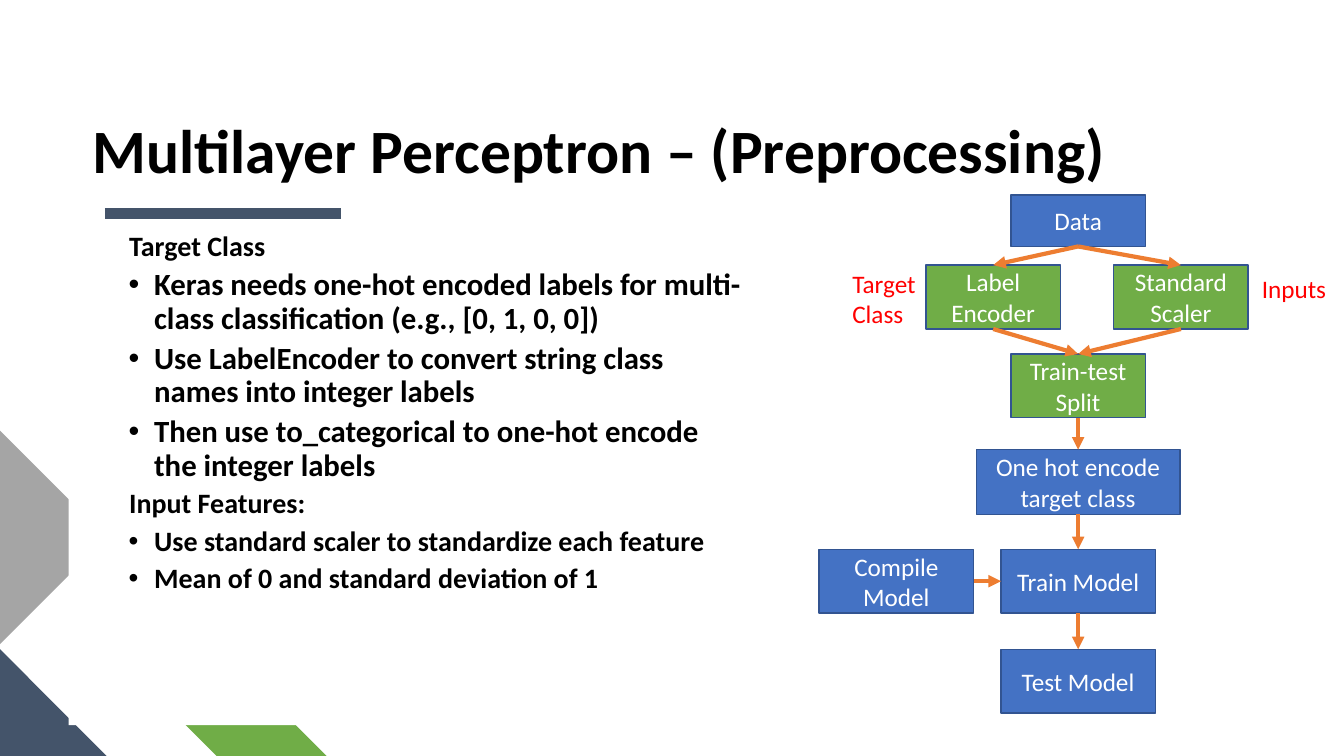
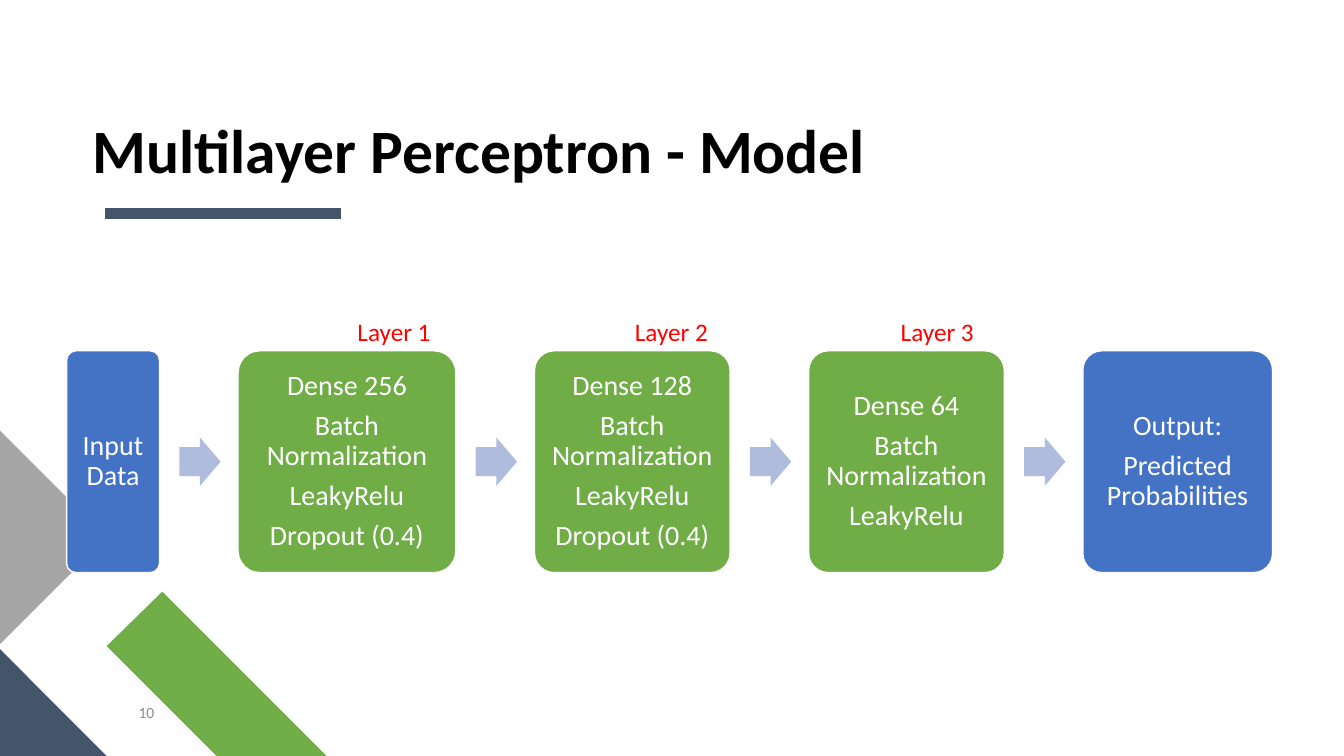
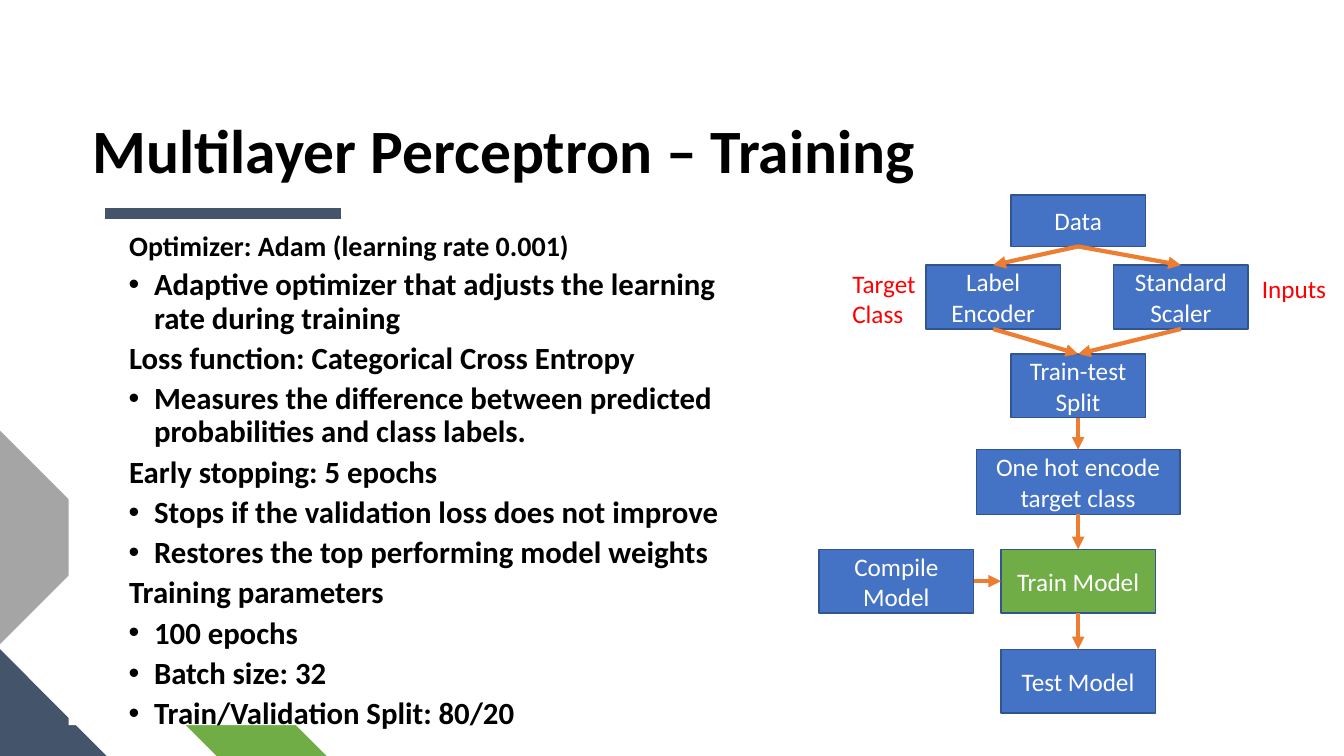
"""Build three slides on a multilayer perceptron: preprocessing, model and training."""
import dataclasses
import typing

import lxml.etree
import pptx
import pptx.dml.color
import pptx.enum.shapes
import pptx.enum.text
import pptx.oxml.ns
import pptx.slide
import pptx.util

Cm = pptx.util.Cm
Pt = pptx.util.Pt
Shape = pptx.enum.shapes.MSO_SHAPE
Align = pptx.enum.text.PP_ALIGN
Anchor = pptx.enum.text.MSO_ANCHOR
qn = pptx.oxml.ns.qn

FONT = "Calibri"
BLACK, WHITE, RED, NUMBER_GREY = "000000", "FFFFFF", "FF0000", "8C8C8C"
BLUE, GREEN, NAVY, GREY = "4472C4", "70AD47", "44546A", "A5A5A5"
ORANGE, BOX_EDGE, PALE_BLUE = "ED7D31", "325491", "B0BCDE"
BOTTOM, TOP, RIGHT, LEFT = 2, 0, 3, 1


@dataclasses.dataclass(frozen=True)
class Node:
    """A flow chart box, placed by its horizontal centre and top in cm."""
    text: str
    cx: float
    top: float
    width: float = 3.39
    height: float = 1.61


@dataclasses.dataclass(frozen=True)
class Label:
    """A red caption, measured in cm."""
    text: str
    left: float
    top: float
    width: float
    height: float = 1.02
    wrap: bool = False


@dataclasses.dataclass(frozen=True)
class Item:
    """A paragraph of the body list."""
    text: str
    size: int = 22
    bullet: bool = True


@dataclasses.dataclass(frozen=True)
class Step:
    """A stage of the model, with its width in cm."""
    lines: tuple[str, ...]
    width: float
    fill: str = GREEN


CORNER = (
    (GREEN, ((8.23, 19.05), (5.46, 19.05), (2.69, 16.28), (4.09, 14.91))),
    (NAVY, ((2.69, 19.05), (0, 19.05), (0, 16.36))),
    (GREY, ((0, 10.85), (2.69, 13.54), (0, 16.23))),
)

AXIS = 27.17
NODES = {
    "data": Node("Data", AXIS, 4.91, height=1.3),
    "label": Node("Label Encoder", 25.03, 6.68),
    "scaler": Node("Standard Scaler", 29.76, 6.68),
    "split": Node("Train-test Split", AXIS, 8.92),
    "one_hot": Node("One hot encode target class", AXIS, 11.33, 5.13, 1.63),
    "compile": Node("Compile Model", 22.59, 13.84, 3.89),
    "train": Node("Train Model", AXIS, 13.84, 3.89),
    "test": Node("Test Model", AXIS, 16.36, 3.89),
}
LINKS = (
    ("data", BOTTOM, "label", TOP),
    ("data", BOTTOM, "scaler", TOP),
    ("label", BOTTOM, "split", TOP),
    ("scaler", BOTTOM, "split", TOP),
    ("split", BOTTOM, "one_hot", TOP),
    ("one_hot", BOTTOM, "train", TOP),
    ("compile", RIGHT, "train", LEFT),
    ("train", BOTTOM, "test", TOP),
)
FLOW_LABELS = (
    Label("Target Class", 21.23, 6.63, 2.11, 1.8, True),
    Label("Inputs", 31.55, 6.76, 2.16),
)

PREPROCESSING = (
    Item("Target Class", 20, False),
    Item("Keras needs one-hot encoded labels for multi-class classification (e.g., [0, 1, 0, 0])"),
    Item("Use LabelEncoder to convert string class names into integer labels"),
    Item("Then use to_categorical to one-hot encode the integer labels"),
    Item("Input Features:", 20, False),
    Item("Use standard scaler to standardize each feature", 20),
    Item("Mean of 0 and standard deviation of 1", 20),
)
TRAINING = (
    Item("Optimizer: Adam (learning rate 0.001)", 20, False),
    Item("Adaptive optimizer that adjusts the learning rate during training"),
    Item("Loss function: Categorical Cross Entropy", bullet=False),
    Item("Measures the difference between predicted probabilities and class labels."),
    Item("Early stopping: 5 epochs", bullet=False),
    Item("Stops if the validation loss does not improve"),
    Item("Restores the top performing model weights"),
    Item("Training parameters", bullet=False),
    Item("100 epochs"),
    Item("Batch size: 32"),
    Item("Train/Validation Split: 80/20"),
)

STEPS = (
    Step(("Input Data",), 2.34, BLUE),
    Step(("Dense 256", "Batch Normalization", "LeakyRelu", "Dropout (0.4)"), 5.49),
    Step(("Dense 128", "Batch Normalization", "LeakyRelu", "Dropout (0.4)"), 4.93),
    Step(("Dense 64", "Batch Normalization", "LeakyRelu"), 4.93),
    Step(("Output:", "Predicted Probabilities"), 4.78, BLUE),
)
STEP_LEFT, STEP_TOP, STEP_HEIGHT, STEP_GAP = 1.68, 8.84, 5.59, 1.98
ARROW_WIDTH, ARROW_HEIGHT = 1.04, 1.22
LAYER_LABELS = tuple(
    Label(f"Layer {i}", left, 7.85, 2.39) for i, left in enumerate((8.76, 15.75, 22.45), 1)
)


def color(value: str) -> pptx.dml.color.RGBColor:
    """Turn a hex string into a colour."""
    return pptx.dml.color.RGBColor.from_string(value)


def paint(sp: typing.Any, fill: str, line: str | None = None) -> None:
    """Give a shape a flat fill and an optional thin outline."""
    sp.shadow.inherit = False
    sp.fill.solid()
    sp.fill.fore_color.rgb = color(fill)
    if line:
        sp.line.color.rgb = color(line)
        sp.line.width = Pt(1)
    else:
        sp.line.fill.background()


def write(p: typing.Any, text: str, size: float, tint: str,
          bold: bool = False, align: Align = Align.LEFT) -> None:
    """Fill a paragraph and format its runs."""
    p.text = text
    p.alignment = align
    for r in p.runs:
        r.font.name = FONT
        r.font.size = Pt(size)
        r.font.bold = bold
        r.font.color.rgb = color(tint)


def paragraphs(tf: typing.Any, count: int) -> typing.Iterator[typing.Any]:
    """Yield the first paragraph of a frame, then new ones."""
    yield tf.paragraphs[0]
    for _ in range(count - 1):
        yield tf.add_paragraph()


def set_margins(tf: typing.Any, margin: float) -> None:
    """Set all four insets of a text frame in cm."""
    tf.margin_left = tf.margin_right = tf.margin_top = tf.margin_bottom = Cm(margin)


def style_line(line: typing.Any, tint: str, width: float, arrow: bool = False) -> None:
    """Colour a connector, drop its shadow and add an arrowhead if asked."""
    line.line.color.rgb = color(tint)
    line.line.width = Pt(width)
    if arrow:
        lxml.etree.SubElement(line.line._get_or_add_ln(), qn("a:tailEnd"), type="triangle")
    lxml.etree.SubElement(line.element.spPr, qn("a:effectLst"))


def add_line(s: pptx.slide.Slide, x1: float, y1: float, x2: float, y2: float) -> typing.Any:
    """Add a straight connector between two points in cm."""
    straight = pptx.enum.shapes.MSO_CONNECTOR.STRAIGHT
    return s.shapes.add_connector(straight, Cm(x1), Cm(y1), Cm(x2), Cm(y2))


def add_slide(prs: typing.Any, title: str, layout: int) -> pptx.slide.Slide:
    """Add a slide with the corner shapes, title and title rule."""
    s = prs.slides.add_slide(prs.slide_layouts[layout])
    for fill, points in CORNER:
        start, *rest = [(Cm(x), Cm(y)) for x, y in points]
        builder = s.shapes.build_freeform(*start, scale=1.0)
        builder.add_line_segments(rest, close=True)
        paint(builder.convert_to_shape(), fill)
    style_line(add_line(s, 2.64, 5.38, 8.59, 5.38), NAVY, 8)
    for placeholder in list(s.placeholders):
        s.shapes.element.append(placeholder.element)
    sp = s.shapes.title
    sp.left, sp.top, sp.width, sp.height = Cm(2.34), Cm(1.02), Cm(29.21), Cm(3.68)
    tf = sp.text_frame
    tf.auto_size = pptx.enum.text.MSO_AUTO_SIZE.NONE
    tf.vertical_anchor = Anchor.BOTTOM
    set_margins(tf, 0)
    write(tf.paragraphs[0], title, 44, BLACK, True)
    tf.paragraphs[0].line_spacing = 0.9
    return s


def fill_body(s: pptx.slide.Slide, items: tuple[Item, ...]) -> None:
    """Place the body placeholder and write its list."""
    sp = s.placeholders[1]
    sp.left, sp.top, sp.width, sp.height = Cm(1.73), Cm(5.72), Cm(17.32), Cm(12.55)
    sp.fill.solid()
    sp.fill.fore_color.rgb = color(WHITE)
    tf = sp.text_frame
    tf.auto_size = pptx.enum.text.MSO_AUTO_SIZE.NONE
    tf.vertical_anchor = Anchor.TOP
    for i, (p, item) in enumerate(zip(paragraphs(tf, len(items)), items)):
        p.level = 1
        p.line_spacing = 0.9
        p.space_before = Pt(5 if i else 0)
        pPr = p._p.get_or_add_pPr()
        pPr.set("marL", str(Cm(1.9 if item.bullet else 1.27)))
        pPr.set("indent", str(Cm(-0.64 if item.bullet else 0)))
        if item.bullet:
            lxml.etree.SubElement(pPr, qn("a:buFont"), typeface="Arial")
            lxml.etree.SubElement(pPr, qn("a:buChar"), char="•")
        else:
            lxml.etree.SubElement(pPr, qn("a:buNone"))
        write(p, item.text, item.size, BLACK, True)


def add_label(s: pptx.slide.Slide, label: Label) -> None:
    """Add a red caption."""
    sp = s.shapes.add_textbox(Cm(label.left), Cm(label.top), Cm(label.width), Cm(label.height))
    sp.text_frame.word_wrap = label.wrap
    write(sp.text_frame.paragraphs[0], label.text, 18, RED)


def add_flow(s: pptx.slide.Slide, active: set[str]) -> None:
    """Draw the flow chart with the active boxes in green."""
    boxes = {}
    for key, node in NODES.items():
        sp = s.shapes.add_shape(Shape.RECTANGLE, Cm(node.cx - node.width / 2), Cm(node.top),
                                Cm(node.width), Cm(node.height))
        paint(sp, GREEN if key in active else BLUE, BOX_EDGE)
        sp.text_frame.word_wrap = True
        sp.text_frame.vertical_anchor = Anchor.MIDDLE
        write(sp.text_frame.paragraphs[0], node.text, 18, WHITE, align=Align.CENTER)
        boxes[key] = sp
    for source, source_side, target, target_side in LINKS:
        line = add_line(s, 0, 0, 1, 1)
        line.begin_connect(boxes[source], source_side)
        line.end_connect(boxes[target], target_side)
        style_line(line, ORANGE, 3, arrow=True)
    for label in FLOW_LABELS:
        add_label(s, label)


def add_model(s: pptx.slide.Slide) -> None:
    """Draw the model stages from left to right with arrows between them."""
    left = STEP_LEFT
    for i, step in enumerate(STEPS):
        if i:
            arrow = s.shapes.add_shape(
                Shape.RIGHT_ARROW, Cm(left - STEP_GAP + 0.5),
                Cm(STEP_TOP + (STEP_HEIGHT - ARROW_HEIGHT) / 2), Cm(ARROW_WIDTH), Cm(ARROW_HEIGHT))
            arrow.adjustments[0] = 0.6
            paint(arrow, PALE_BLUE)
        sp = s.shapes.add_shape(Shape.ROUNDED_RECTANGLE, Cm(left), Cm(STEP_TOP),
                                Cm(step.width), Cm(STEP_HEIGHT))
        sp.adjustments[0] = 0.1
        paint(sp, step.fill, WHITE)
        tf = sp.text_frame
        tf.word_wrap = True
        tf.vertical_anchor = Anchor.MIDDLE
        set_margins(tf, 0.2)
        for p, text in zip(paragraphs(tf, len(step.lines)), step.lines):
            write(p, text, 20, WHITE, align=Align.CENTER)
            p.line_spacing = 0.9
            p.space_after = Pt(7)
        left += step.width + STEP_GAP
    for label in LAYER_LABELS:
        add_label(s, label)


def add_number(s: pptx.slide.Slide, number: str) -> None:
    """Write the page number at the lower left."""
    sp = s.shapes.add_textbox(Cm(2.69), Cm(17.58), Cm(1.45), Cm(0.69))
    sp.text_frame.word_wrap = True
    write(sp.text_frame.paragraphs[0], number, 11.1, NUMBER_GREY, align=Align.RIGHT)


def main() -> None:
    """Build and save the presentation."""
    prs = pptx.Presentation()
    prs.slide_width, prs.slide_height = Cm(33.87), Cm(19.05)

    s = add_slide(prs, "Multilayer Perceptron – (Preprocessing)", 1)
    fill_body(s, PREPROCESSING)
    add_flow(s, {"label", "scaler", "split"})

    s = add_slide(prs, "Multilayer Perceptron - Model", 5)
    add_number(s, "10")
    add_model(s)

    s = add_slide(prs, "Multilayer Perceptron – Training", 1)
    fill_body(s, TRAINING)
    add_flow(s, {"train"})

    prs.save("out.pptx")


if __name__ == "__main__":
    main()
